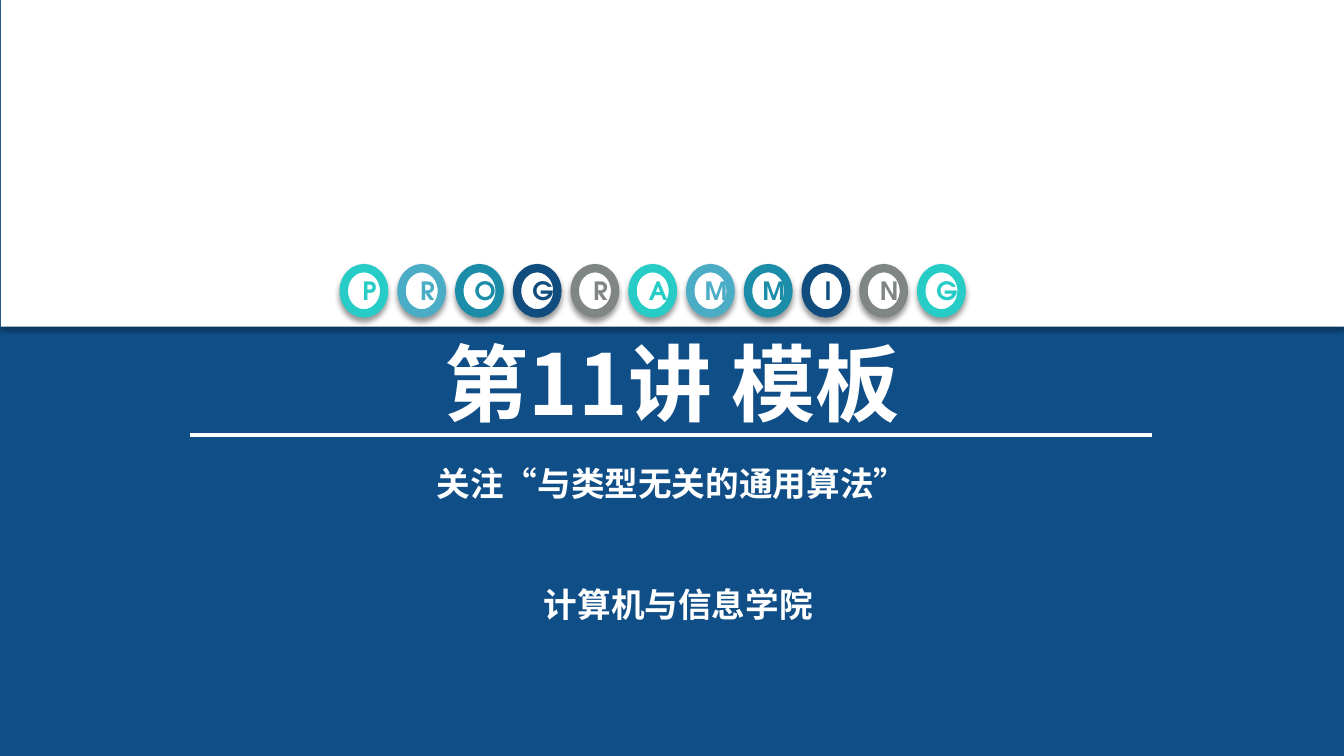
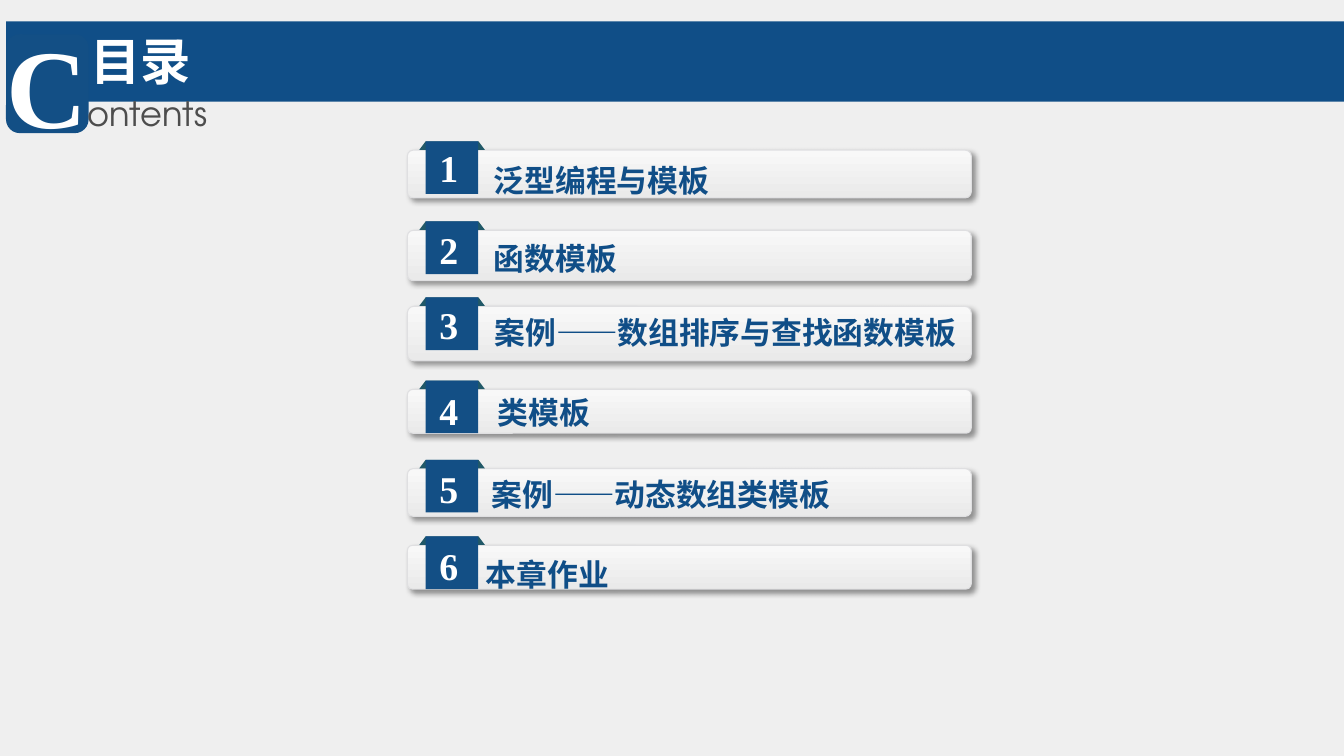
"""Build the cover and contents slides of a lecture on templates."""
from dataclasses import dataclass

from lxml import etree
from pptx import Presentation
from pptx.dml.color import RGBColor
from pptx.enum.shapes import MSO_CONNECTOR, MSO_SHAPE
from pptx.enum.text import MSO_ANCHOR, PP_ALIGN
from pptx.oxml.ns import qn
from pptx.util import Pt

RECT = MSO_SHAPE.RECTANGLE
ROUND = MSO_SHAPE.ROUNDED_RECTANGLE
OVAL = MSO_SHAPE.OVAL
TRAPEZOID = MSO_SHAPE.TRAPEZOID
STRAIGHT = MSO_CONNECTOR.STRAIGHT
LEFT, CENTER = PP_ALIGN.LEFT, PP_ALIGN.CENTER
TOP, MIDDLE = MSO_ANCHOR.TOP, MSO_ANCHOR.MIDDLE


@dataclass(frozen=True)
class Theme:
    navy: str = "104E87"
    badge: str = "134F85"
    ribbon: str = "215968"
    paper: str = "EFEFEF"
    white: str = "FFFFFF"
    grey: str = "4D4D4D"
    card_line: str = "DFDFE1"
    card: tuple = ("F8F8F8", "EAEAEA")
    rings: tuple = ("26CCC5", "4BACC6", "1B8DA8", "104D7E", "808684")
    band_shadow: tuple = ("000000", 35, 3.1, 1.8, 90)
    ring_shadow: tuple = ("000000", 40, 4, 3, 90)
    card_shadow: tuple = ("000000", 40, 4, 3, 45)
    cjk: str = "Noto Sans CJK JP"
    sans: str = "TeX Gyre Adventor"
    serif: str = "Times New Roman"
    cover_size: int = 60
    heading_size: int = 36
    subtitle_size: int = 24
    item_size: int = 22
    number_size: int = 27
    letter_size: int = 18
    initial_size: int = 80


THEME = Theme()
DEFAULT_INSETS = (7.2, 3.6)
ITEM_INSETS = (5, 3)


def rgb(color):
    return RGBColor.from_string(color)


def put_text(tf, text, size, font, color, bold=True, align=LEFT, anchor=TOP,
             insets=DEFAULT_INSETS, wrap=True, spacing=None):
    tf.word_wrap = wrap
    tf.vertical_anchor = anchor
    tf.margin_left = tf.margin_right = Pt(insets[0])
    tf.margin_top = tf.margin_bottom = Pt(insets[1])
    p = tf.paragraphs[0]
    p.alignment = align
    if spacing:
        p.line_spacing = spacing
    r = p.add_run()
    r.text = text
    r.font.size = Pt(size)
    r.font.name = font
    r.font.bold = bold
    r.font.color.rgb = rgb(color)
    ea = etree.SubElement(r.font._element, qn("a:ea"))
    ea.set("typeface", font)


class Deck:
    def __init__(self, theme):
        self.theme = theme
        self.prs = Presentation()
        self.prs.slide_width, self.prs.slide_height = Pt(960), Pt(540)
        self.s = None

    def slide(self, background):
        self.s = self.prs.slides.add_slide(self.prs.slide_layouts[6])
        fill = self.s.background.fill
        fill.solid()
        fill.fore_color.rgb = rgb(background)

    def shape(self, kind, x, y, w, h, fill, line=None, line_width=0,
              shadow=None, adjust=None):
        sp = self.s.shapes.add_shape(kind, Pt(x), Pt(y), Pt(w), Pt(h))
        if adjust is not None:
            sp.adjustments[0] = adjust
        if isinstance(fill, tuple):
            sp.fill.gradient()
            sp.fill.gradient_angle = 270
            for stop, color in zip(sp.fill.gradient_stops, fill):
                stop.color.rgb = rgb(color)
        else:
            sp.fill.solid()
            sp.fill.fore_color.rgb = rgb(fill)
        if line:
            sp.line.color.rgb = rgb(line)
            sp.line.width = Pt(line_width)
        else:
            sp.line.fill.background()
        sp.shadow.inherit = False
        if shadow:
            self.cast(sp, *shadow)
        return sp

    def cast(self, sp, color, alpha, blur, dist, angle):
        effects = sp._element.spPr.find(qn("a:effectLst"))
        outer = etree.SubElement(effects, qn("a:outerShdw"), {
            "blurRad": str(int(Pt(blur))), "dist": str(int(Pt(dist))),
            "dir": str(angle * 60000), "algn": "ctr", "rotWithShape": "0"})
        clr = etree.SubElement(outer, qn("a:srgbClr"), val=color)
        etree.SubElement(clr, qn("a:alpha"), val=str(alpha * 1000))

    def text(self, x, y, w, h, text, **fmt):
        sp = self.s.shapes.add_textbox(Pt(x), Pt(y), Pt(w), Pt(h))
        put_text(sp.text_frame, text, **fmt)

    def rule(self, x1, x2, y, color, width):
        ln = self.s.shapes.add_connector(STRAIGHT, Pt(x1), Pt(y), Pt(x2), Pt(y))
        ln.line.color.rgb = rgb(color)
        ln.line.width = Pt(width)
        etree.SubElement(ln._element.spPr, qn("a:effectLst"))

    def ring(self, x, y, letter, color):
        t = self.theme
        w, h = 28.8, 32.4
        self.shape(OVAL, x, y, w, h, t.white, color, 6, t.ring_shadow)
        shift = 1.5 if letter == "I" else 4
        self.text(x + shift, y, w, h, letter, size=t.letter_size, font=t.sans,
                  color=color, align=CENTER, anchor=MIDDLE, insets=(0, 0),
                  wrap=False)

    def item(self, number, title, badge_y, card_h, number_y, title_x, title_y):
        t = self.theme
        self.shape(ROUND, 291, badge_y + 6.3, 402.8, card_h, t.card,
                   t.card_line, 0, t.card_shadow, adjust=0.12)
        self.shape(TRAPEZOID, 299.5, badge_y, 46.8, 6, t.ribbon, adjust=0.75)
        self.shape(RECT, 304, badge_y, 37.6, 37.6, t.badge)
        self.text(308.9, number_y, 24.5, 38, str(number), size=t.number_size,
                  font=t.serif, color=t.white, insets=ITEM_INSETS, wrap=False)
        self.text(title_x, title_y, t.item_size * len(title) + 13, 32.4, title,
                  size=t.item_size, font=t.cjk, color=t.navy,
                  insets=ITEM_INSETS, wrap=False)


def build_cover(deck):
    t = deck.theme
    deck.slide(t.navy)
    deck.shape(RECT, 0.7, 0, 959.3, 233.3, t.white, shadow=t.band_shadow)
    line = dict(color=t.white, align=CENTER)
    deck.text(0, 233.3, 960, 80, "第11讲 模板", size=t.cover_size,
              font=t.cjk, **line)
    deck.rule(136, 823, 311, t.white, 3)
    for i, letter in enumerate("PROGRAMMING"):
        deck.ring(245.6 + 41.25 * i, 191.5, letter, t.rings[i % len(t.rings)])
    line.update(size=t.subtitle_size, spacing=0.9)
    deck.text(0, 330.5, 960, 34, "关注“与类型无关的通用算法”",
              font=t.cjk, **line)
    deck.text(9, 417, 951, 33, "计算机与信息学院", font=t.sans, **line)


def build_contents(deck):
    t = deck.theme
    deck.slide(t.paper)
    deck.shape(RECT, 4.3, 15.2, 955.7, 57.4, t.navy)
    deck.text(57.6, 18, 198.7, 51, "目录", size=t.heading_size, font=t.sans,
              color=t.white)
    sp = deck.shape(ROUND, 4.3, 24.5, 59, 70.6, t.badge)
    put_text(sp.text_frame, "C", size=t.initial_size, font=t.serif,
             color=t.white, align=CENTER, anchor=MIDDLE, insets=(0, 0),
             wrap=False)
    deck.text(62.4, 63.4, 90, 34.3, "ontents", size=t.subtitle_size,
              font=t.sans, color=t.grey, bold=False, anchor=MIDDLE,
              insets=(0, 0), wrap=False)
    items = (
        ("泛型编程与模板", 101, 34, 100, 347.8, 112.3),
        ("函数模板", 158.2, 36, 159, 347.8, 168.5),
        ("案例——数组排序与查找函数模板", 212.5, 38.9, 212.4, 348.5, 221),
        ("类模板", 271.9, 31.3, 273.6, 350.6, 278),
        ("案例——动态数组类模板", 328.5, 34, 329.8, 346.3, 337),
        ("本章作业", 383.2, 31.3, 384.5, 342, 393.8),
    )
    for number, row in enumerate(items, 1):
        deck.item(number, *row)


def main():
    deck = Deck(THEME)
    build_cover(deck)
    build_contents(deck)
    deck.prs.save("out.pptx")


if __name__ == "__main__":
    main()
